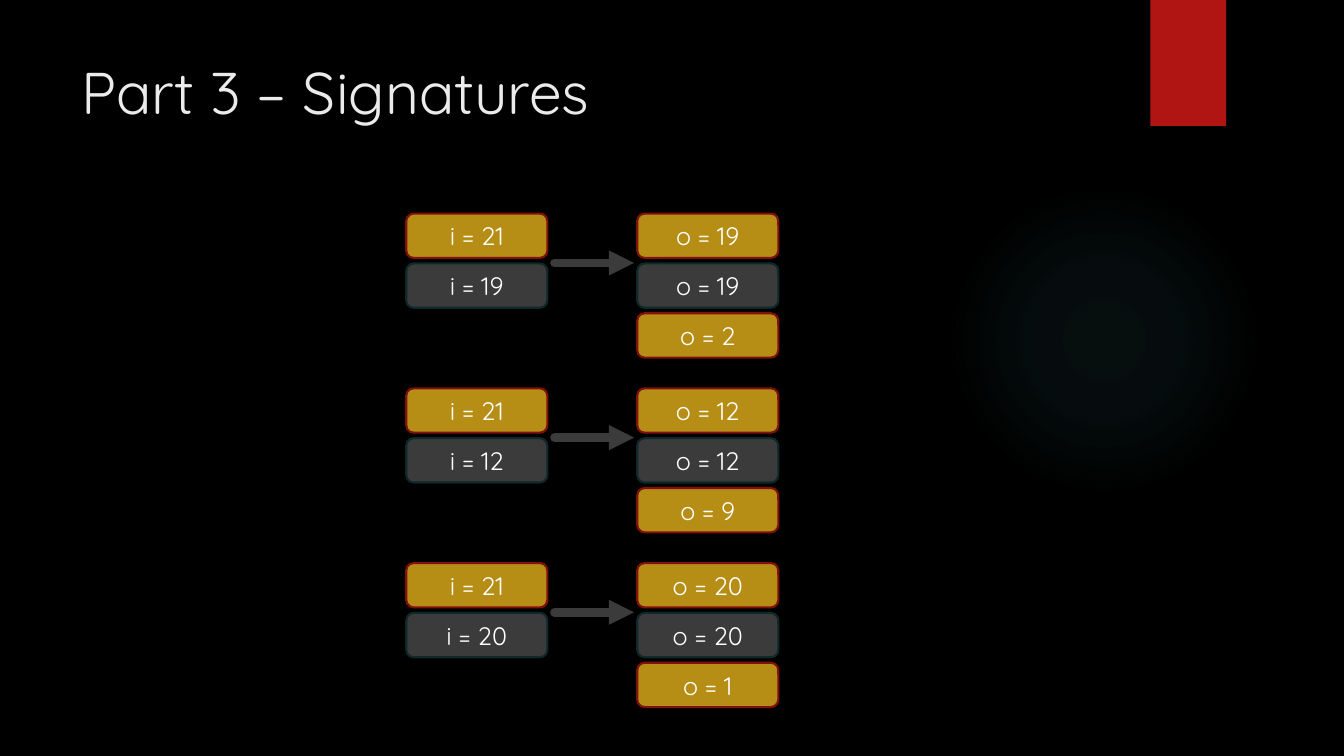
from pptx import Presentation
from pptx.dml.color import RGBColor
from pptx.enum.shapes import MSO_CONNECTOR, MSO_SHAPE
from pptx.enum.text import MSO_ANCHOR, PP_ALIGN
from pptx.oxml import parse_xml
from pptx.oxml.ns import nsdecls, qn
from pptx.util import Pt

FONT = "Quicksand"
GOLD = ("B68E15", "82100E")
GREY = ("3B3B3B", "0F282A")
INPUT_LEFT, OUTPUT_LEFT = 290.2, 455.2
BOX_WIDTH, BOX_HEIGHT, BOX_STEP = 100.8, 31.7, 35.6
FIRST_TOP, GROUP_STEP = 152.6, 124.8
SIGNATURES = [
    (("i = 21", "i = 19"), ("o = 19", "o = 19", "o = 2")),
    (("i = 21", "i = 12"), ("o = 12", "o = 12", "o = 9")),
    (("i = 21", "i = 20"), ("o = 20", "o = 20", "o = 1")),
]


def paint(target, colour):
    """Give a fill a solid colour from a hex string."""
    target.solid()
    target.fore_color.rgb = RGBColor.from_string(colour)


def write(frame, text, size, colour, align, anchor):
    """Put one formatted line of text in a frame."""
    frame.word_wrap = True
    frame.vertical_anchor = anchor
    para = frame.paragraphs[0]
    para.alignment = align
    span = para.add_run()
    span.text = text
    for name, value in {"name": FONT, "size": Pt(size), "bold": False}.items():
        setattr(span.font, name, value)
    paint(span.font.fill, colour)


def add_plain(shapes, kind, left, top, width, height):
    """Add a preset shape without shadow or outline."""
    shape = shapes.add_shape(kind, Pt(left), Pt(top), Pt(width), Pt(height))
    shape.shadow.inherit = False
    shape.line.fill.background()
    return shape


def add_glow(page):
    """Add the faint round glow on the right."""
    glow = add_plain(page.shapes, MSO_SHAPE.OVAL, 677.5, 131.8, 221.8, 221.8)
    glow.fill.background()
    stops = "".join(
        f'<a:gs pos="{place * 1000}"><a:srgbClr val="50B9C1">'
        f'<a:alpha val="{alpha * 1000}"/></a:srgbClr></a:gs>'
        for place, alpha in ((0, 7), (36, 6), (69, 0))
    )
    gradient = parse_xml(
        f'<a:gradFill {nsdecls("a")} rotWithShape="1"><a:gsLst>{stops}</a:gsLst>'
        '<a:path path="circle"><a:fillToRect l="50000" t="50000" r="50000" b="50000"/>'
        "</a:path></a:gradFill>"
    )
    properties = glow.element.spPr
    properties.replace(properties.find(qn("a:noFill")), gradient)


def add_ribbon(page):
    """Add the red ribbon at the top edge."""
    ribbon = add_plain(page.shapes, MSO_SHAPE.RECTANGLE, 821.8, 0, 54, 90)
    paint(ribbon.fill, "B01513")


def add_title(page, text):
    """Place and fill the title placeholder."""
    title = page.shapes.title
    place = {"left": 51, "top": 36, "width": 741, "height": 110}
    for name, value in place.items():
        setattr(title, name, Pt(value))
    write(title.text_frame, text, 42, "EBEBEB", PP_ALIGN.LEFT, MSO_ANCHOR.TOP)


def add_stack(group, labels, left, top):
    """Stack labelled boxes, gold and grey in turn."""
    for index, label in enumerate(labels):
        box = add_plain(group.shapes, MSO_SHAPE.ROUNDED_RECTANGLE, left,
                        top + index * BOX_STEP, BOX_WIDTH, BOX_HEIGHT)
        fill, outline = (GOLD, GREY)[index % 2]
        paint(box.fill, fill)
        paint(box.line.fill, outline)
        box.line.width = Pt(1.5)
        write(box.text_frame, label, 18, "FFFFFF", PP_ALIGN.CENTER, MSO_ANCHOR.MIDDLE)


def add_arrow(group, top):
    """Add the thick arrow from inputs to outputs."""
    arrow = group.shapes.add_connector(
        MSO_CONNECTOR.STRAIGHT, Pt(396), Pt(top), Pt(452.9), Pt(top))
    paint(arrow.line.fill, "3B3B3B")
    arrow.line.width = Pt(6)
    line = arrow.line._get_or_add_ln()
    line.set("cap", "rnd")
    line.append(parse_xml(f'<a:tailEnd {nsdecls("a")} type="triangle"/>'))
    arrow.element.spPr.append(parse_xml(f'<a:effectLst {nsdecls("a")}/>'))


def add_signature(page, inputs, outputs, top):
    """Add one group of inputs, arrow and outputs."""
    group = page.shapes.add_group_shape()
    add_stack(group, inputs, INPUT_LEFT, top)
    add_arrow(group, top + 35.2)
    add_stack(group, outputs, OUTPUT_LEFT, top)


def main():
    """Build the slide and save it."""
    deck = Presentation()
    deck.slide_width, deck.slide_height = Pt(960), Pt(540)
    page = deck.slides.add_slide(deck.slide_layouts[5])
    paint(page.background.fill, "000000")
    add_glow(page)
    add_ribbon(page)
    add_title(page, "Part 3 – Signatures")
    for index, (inputs, outputs) in enumerate(SIGNATURES):
        add_signature(page, inputs, outputs, FIRST_TOP + index * GROUP_STEP)
    deck.save("out.pptx")


if __name__ == "__main__":
    main()
